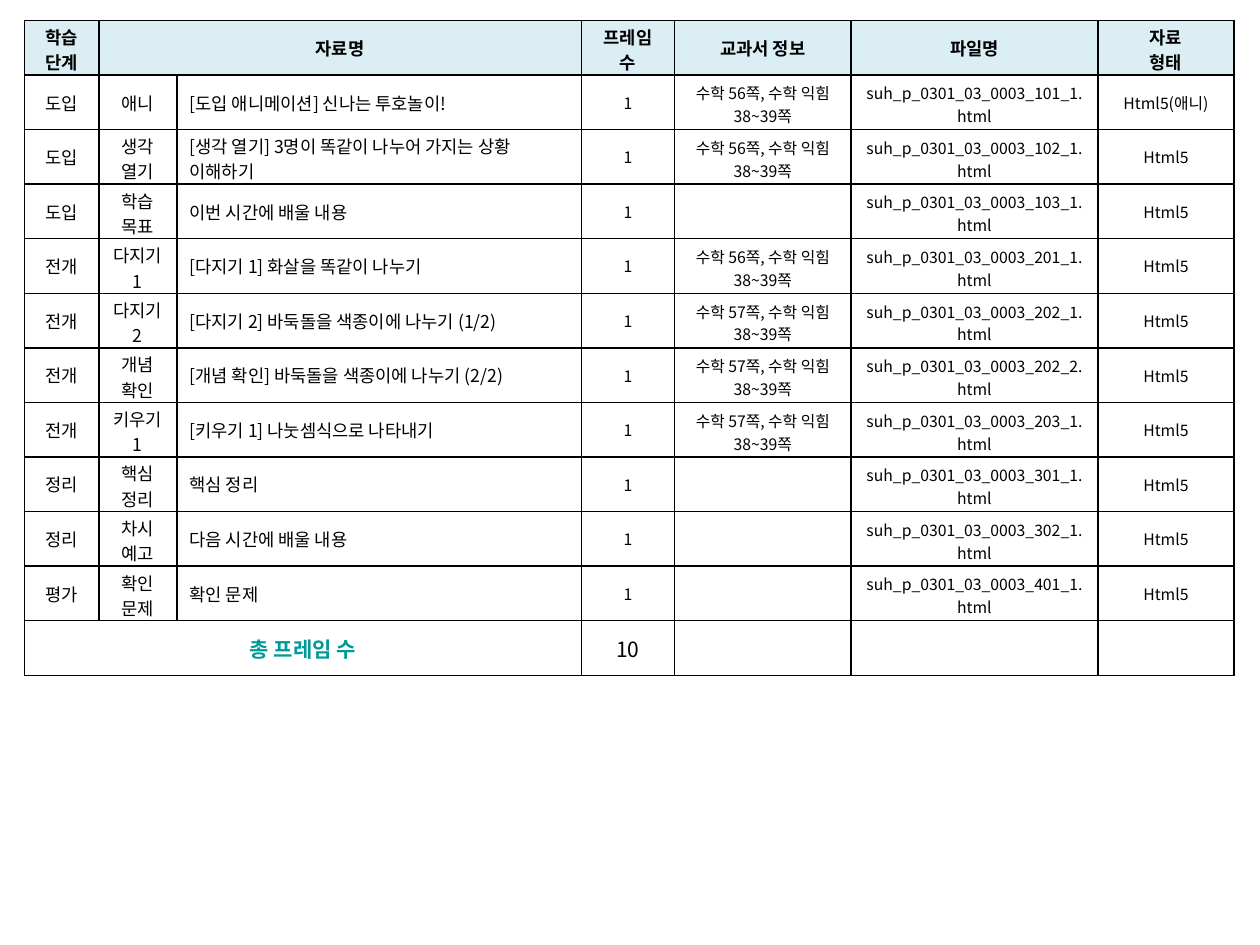
from lxml.etree import SubElement
from pptx import Presentation
from pptx.dml.color import RGBColor
from pptx.enum.text import MSO_ANCHOR as Anchor, PP_ALIGN as Align
from pptx.oxml.ns import qn
from pptx.util import Pt

FONT = "Noto Sans CJK KR"
COLORS = {"text": "000000", "border": "000000", "header": "DBEEF4",
          "white": "FFFFFF", "total": "009999"}
LEFT, TOP, ROW_HEIGHT = 14, 11.7, 31.2
COLUMN_WIDTHS = [42.5, 44.6, 231.1, 53.3, 100.8, 141.1, 77.8]
LARGE, SMALL, TOTAL_SIZE = 10.1, 9, 12
BODY_SIZES = [LARGE] * 3 + [SMALL] * 4
LINE_LIMITS = [2, 3, 28, 4, 10, 20, 9]
SINGLE_MARGINS = (3.6, 3.6)
DOUBLE_MARGINS = {LARGE: (1.9, 0), SMALL: (3.6, 1.2)}
TITLE_COLUMN = 2

HEADER = ["학습 단계", "자료명", "", "프레임 수", "교과서 정보", "파일명", "자료\n형태"]
PAGES_56 = "수학 56쪽, 수학 익힘 38~39쪽"
PAGES_57 = "수학 57쪽, 수학 익힘 38~39쪽"
LESSONS = [
    ("도입", "애니", "[도입 애니메이션] 신나는 투호놀이!", PAGES_56, "101_1", "Html5(애니)"),
    ("도입", "생각 열기", "[생각 열기] 3명이 똑같이 나누어 가지는 상황 이해하기", PAGES_56, "102_1", "Html5"),
    ("도입", "학습 목표", "이번 시간에 배울 내용", "", "103_1", "Html5"),
    ("전개", "다지기 1", "[다지기 1] 화살을 똑같이 나누기", PAGES_56, "201_1", "Html5"),
    ("전개", "다지기 2", "[다지기 2] 바둑돌을 색종이에 나누기 (1/2)", PAGES_57, "202_1", "Html5"),
    ("전개", "개념 확인", "[개념 확인] 바둑돌을 색종이에 나누기 (2/2)", PAGES_57, "202_2", "Html5"),
    ("전개", "키우기1", "[키우기 1] 나눗셈식으로 나타내기", PAGES_57, "203_1", "Html5"),
    ("정리", "핵심 정리", "핵심 정리", "", "301_1", "Html5"),
    ("정리", "차시 예고", "다음 시간에 배울 내용", "", "302_1", "Html5"),
    ("평가", "확인 문제", "확인 문제", "", "401_1", "Html5"),
]
TOTAL = ["총 프레임 수", "", "", str(len(LESSONS)), "", "", ""]


def draw_borders(cell):
    properties = cell._tc.get_or_add_tcPr()
    for position, side in enumerate(("lnL", "lnR", "lnT", "lnB")):
        line = properties.makeelement(qn(f"a:{side}"), {"w": str(Pt(1))})
        fill = SubElement(line, qn("a:solidFill"))
        SubElement(fill, qn("a:srgbClr"), val=COLORS["border"])
        properties.insert(position, line)


def choose_margins(text, column, size):
    if "\n" in text or len(text) > LINE_LIMITS[column]:
        return DOUBLE_MARGINS.get(size, SINGLE_MARGINS)
    return SINGLE_MARGINS


def fill_cell(row, column, text, size, bold=False, color="text", align=Align.CENTER, fill=None):
    cell = table.cell(row, column)
    cell.vertical_anchor = Anchor.MIDDLE
    cell.margin_left = cell.margin_right = Pt(7.2)
    top, bottom = choose_margins(text, column, size)
    cell.margin_top, cell.margin_bottom = Pt(top), Pt(bottom)
    if fill:
        cell.fill.solid()
        cell.fill.fore_color.rgb = RGBColor.from_string(COLORS[fill])
    else:
        cell.fill.background()
    draw_borders(cell)
    frame = cell.text_frame
    for index, line in enumerate(text.split("\n")):
        para = frame.add_paragraph() if index else frame.paragraphs[0]
        para.alignment = align
        span = para.add_run()
        span.text = line
        span.font.name = FONT
        span.font.size = Pt(size)
        span.font.bold = bold
        span.font.color.rgb = RGBColor.from_string(COLORS[color])
        SubElement(span._r.get_or_add_rPr(), qn("a:ea"), typeface=FONT)


deck = Presentation()
deck.slide_width, deck.slide_height = Pt(720), Pt(540)
page = deck.slides.add_slide(deck.slide_layouts[6])
row_count = len(LESSONS) + 2
table = page.shapes.add_table(
    row_count, len(COLUMN_WIDTHS), Pt(LEFT), Pt(TOP),
    Pt(sum(COLUMN_WIDTHS)), Pt(row_count * ROW_HEIGHT)).table
table.first_row = table.horz_banding = False
for column, width in zip(table.columns, COLUMN_WIDTHS):
    column.width = Pt(width)
for row in table.rows:
    row.height = Pt(ROW_HEIGHT)

for column, text in enumerate(HEADER):
    fill_cell(0, column, text, LARGE, bold=True, fill="header")
for row, (stage, part, title, pages, code, kind) in enumerate(LESSONS, start=1):
    texts = [stage, part, title, "1", pages, f"suh_p_0301_03_0003_{code}.html", kind]
    for column, text in enumerate(texts):
        fill_cell(row, column, text, BODY_SIZES[column],
                  align=Align.LEFT if column == TITLE_COLUMN else Align.CENTER,
                  fill="white" if row == len(LESSONS) else None)
for column, text in enumerate(TOTAL):
    label = column == 0
    fill_cell(row_count - 1, column, text, TOTAL_SIZE, bold=label,
              color="total" if label else "text", fill="white")
table.cell(0, 1).merge(table.cell(0, 2))
table.cell(row_count - 1, 0).merge(table.cell(row_count - 1, 2))

deck.save("out.pptx")
